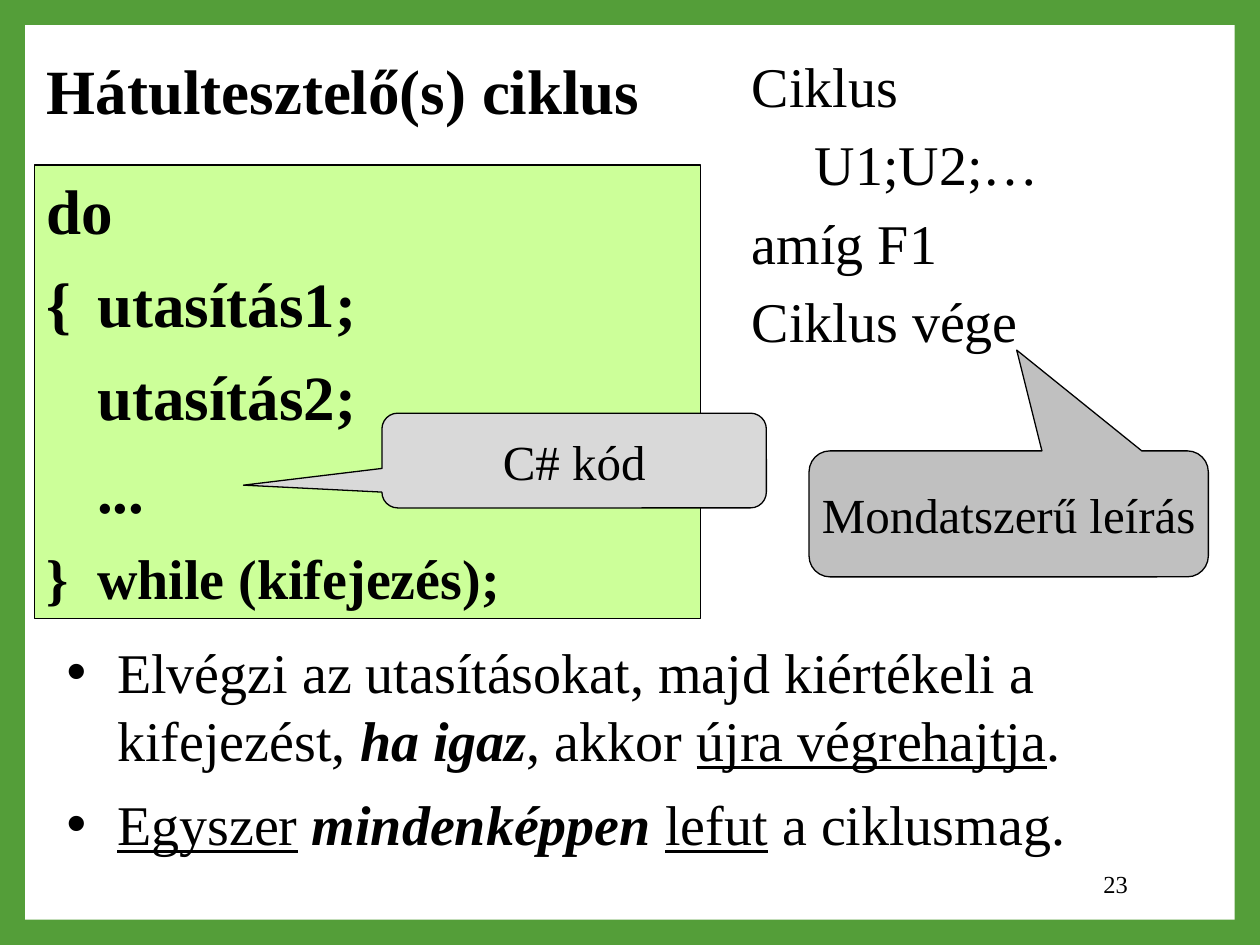
from pptx import Presentation, util as u
from pptx.dml.color import RGBColor
from pptx.enum import shapes, text
from pptx.oxml import parse_xml
from pptx.oxml.ns import nsdecls

FONT = "Times New Roman"
BLACK = "000000"
HANG = 1.02


def color(hex_code):
    return RGBColor.from_string(hex_code)


class SlideBuilder:
    def __init__(self, slide):
        self.slide = slide

    def background(self, fill):
        self.slide.background.fill.solid()
        self.slide.background.fill.fore_color.rgb = color(fill)

    def place(self, item, box):
        item.left, item.top, item.width, item.height = map(u.Cm, box)
        return item

    def frame(self, item, anchor="TOP", wrap=True):
        frame = item.text_frame
        frame.auto_size = text.MSO_AUTO_SIZE.NONE
        frame.word_wrap = wrap
        frame.vertical_anchor = getattr(text.MSO_ANCHOR, anchor)
        return frame

    def add_text(self, frame, paragraphs, size, style="", align="LEFT",
                 before=0, after=0, hang=0, bullet=False):
        for index, runs in enumerate(paragraphs):
            paragraph = frame.paragraphs[0] if index == 0 else frame.add_paragraph()
            properties = paragraph._p.get_or_add_pPr()
            properties.set("marL", str(u.Cm(hang)))
            properties.set("indent", str(-u.Cm(hang)))
            if bullet:
                properties.append(parse_xml(f'<a:buChar {nsdecls("a")} char="•"/>'))
            paragraph.alignment = getattr(text.PP_ALIGN, align)
            paragraph.space_before = u.Pt(before if index else 0)
            paragraph.space_after = u.Pt(after)
            for words, run_style, run_size in runs:
                run = paragraph.add_run()
                run.text = words
                font = run.font
                font.name = FONT
                font.size = u.Pt(run_size or size)
                font.color.rgb = color(BLACK)
                font.bold = "b" in style + run_style
                font.italic = "i" in run_style
                font.underline = "u" in run_style

    def placeholder(self, index, box, paragraphs, size, **options):
        holder = self.place(self.slide.placeholders[index], box)
        self.add_text(self.frame(holder), paragraphs, size, **options)

    def label(self, box, paragraphs, size, anchor="TOP", **options):
        item = self.slide.shapes.add_textbox(*map(u.Cm, box))
        self.add_text(self.frame(item, anchor), paragraphs, size, **options)

    def panel(self, kind, box, fill, line=BLACK):
        item = self.slide.shapes.add_shape(kind, *map(u.Cm, box))
        item.shadow.inherit = False
        item.fill.solid()
        item.fill.fore_color.rgb = color(fill)
        if line:
            item.line.color.rgb = color(line)
            item.line.width = u.Pt(0.75)
        else:
            item.line.fill.background()
        return item

    def backdrop(self, box, fill):
        item = self.panel(shapes.MSO_SHAPE.RECTANGLE, box, fill, None)
        self.slide.shapes._spTree.insert(2, item._element)

    def code_panel(self, box, fill, paragraphs, size, **options):
        item = self.panel(shapes.MSO_SHAPE.RECTANGLE, box, fill)
        self.add_text(self.frame(item), paragraphs, size, **options)

    def callout(self, box, fill, pointer, words):
        item = self.panel(shapes.MSO_SHAPE.ROUNDED_RECTANGULAR_CALLOUT, box, fill)
        item.adjustments[0], item.adjustments[1] = pointer
        self.add_text(self.frame(item, "MIDDLE", False), lines(words), 28, align="CENTER")


def lines(*words):
    return [[(line, "", None)] for line in words]


def main():
    deck = Presentation()
    deck.slide_width, deck.slide_height = u.Cm(25.4), u.Cm(19.05)
    builder = SlideBuilder(deck.slides.add_slide(deck.slide_layouts[1]))
    spaced = {"before": 5, "after": 5, "hang": HANG}

    builder.background("549E39")
    builder.backdrop((0.51, 0.51, 24.38, 18.03), "FFFFFF")
    builder.label((19.43, 17.3, 3.56, 1.02), lines("23"), 14, "MIDDLE", align="RIGHT")
    builder.placeholder(0, (0.69, 0.91, 13.84, 1.78),
                        lines("Hátultesztelő(s) ciklus"), 36, style="b", **spaced)

    pseudocode = lines("Ciklus", "\tU1;U2;…", "amíg F1", "Ciklus vége")
    builder.label((14.91, 0.91, 9.09, 6.48), pseudocode, 32, before=6.4, hang=1.27)
    builder.callout((16.31, 9.09, 8.05, 2.54), "C0C0C0", (0.02, -1.3),
                    "Mondatszerű leírás")

    explanation = [
        [("Elvégzi az utasításokat, majd kiértékeli a kifejezést, ", "", None),
         ("ha igaz", "bi", None), (", akkor ", "", None),
         ("újra végrehajtja", "u", None), (".", "", None)],
        [("Egyszer", "u", None), (" ", "", None), ("mindenképpen ", "bi", None),
         ("lefut", "u", None), (" a ciklusmag.", "", None)],
    ]
    builder.placeholder(1, (1.09, 12.73, 23.5, 4.67), explanation, 32,
                        bullet=True, **spaced)

    code = lines("do", "{\tutasítás1;", "\tutasítás2;", "\t...")
    code.append([("}\twhile (kifejezés);", "", 32)])
    builder.code_panel((0.69, 3.33, 13.44, 9.14), "CCFF99", code, 36,
                       style="b", **spaced)
    builder.callout((7.7, 8.33, 7.75, 1.91), "D9D9D9", (-0.86, 0.26), "C# kód")

    deck.save("out.pptx")


if __name__ == "__main__":
    main()
